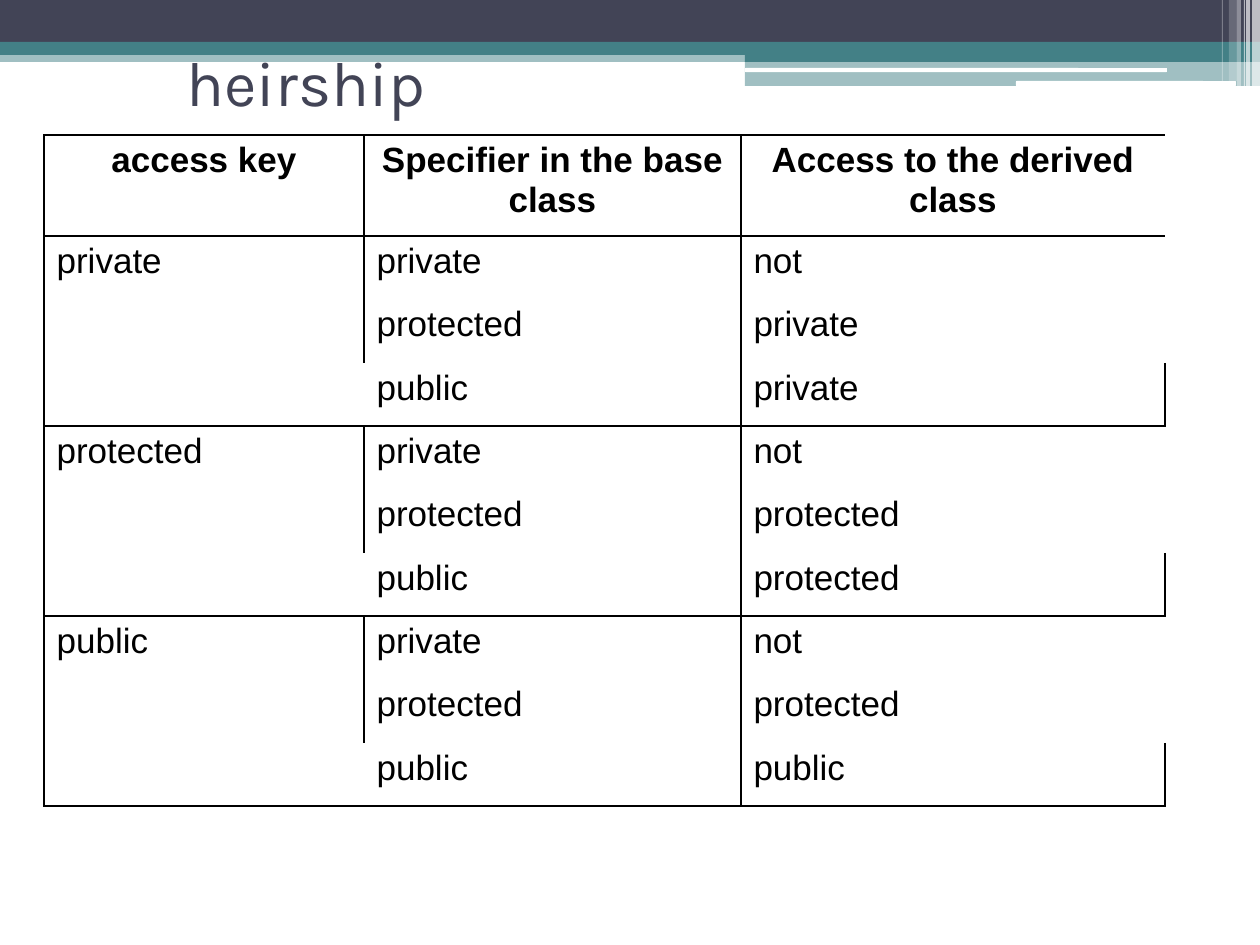
from lxml import etree
from pptx import Presentation
from pptx import util as u
from pptx.dml.color import RGBColor
from pptx.enum import shapes, text
from pptx.oxml.ns import qn

EMU_PER_PX = 914400 / 126
COLORS = {"navy": "424456", "teal": "438086", "white": "FFFFFF", "black": "000000"}
RECT, ROUND = shapes.MSO_SHAPE.RECTANGLE, shapes.MSO_SHAPE.ROUNDED_RECTANGLE

BANDS = [
    (RECT, (0, 50, 1260, 12), "teal", 50),
    (RECT, (0, 0, 1260, 42), "navy", 100),
    (RECT, (0, 42, 1260, 13), "teal", 100),
    (RECT, (745, 49, 515, 13), "teal", 100),
    (RECT, (745, 61, 515, 25), "teal", 50),
    (ROUND, (745, 68, 422, 4), "white", 100),
    (ROUND, (1016, 81, 220, 5), "white", 100),
]
STRIPES = [
    (1252, 8, 86, 65), (1246, 4, 86, 65), (1244, 1, 86, 60),
    (1237, 4, 86, 40), (1229, 8, 81, 20), (1222, 1, 81, 30),
]
HEADINGS = ["access key", "Specifier in the base class", "Access to the derived class"]
SPECIFIERS = ["private", "protected", "public"]
ACCESS = {
    "private": ["not", "private", "private"],
    "protected": ["not", "protected", "protected"],
    "public": ["not", "protected", "public"],
}
COL_WIDTHS = [320, 377, 424]
ROW_HEIGHTS = [101] + [63, 64, 63] * len(ACCESS)
HEADING_SIDES = ["LRTB", "LRTB", "LTB"]
GROUP_SIDES = [("LTB", "LRT", "LT"), ("L", "LR", "L"), ("LB", "RB", "LRB")]


def px(n):
    return u.Emu(round(n * EMU_PER_PX))


def rgb(name):
    return RGBColor.from_string(COLORS[name])


def set_attrs(obj, values):
    for name, value in values.items():
        setattr(obj, name, value)


def set_place(sp, box):
    set_attrs(sp, dict(zip(("left", "top", "width", "height"), map(px, box))))


def set_text(tf, words, align, color, **font):
    p = tf.paragraphs[0]
    p.alignment = align
    r = p.add_run()
    r.text = words
    set_attrs(r.font, font)
    r.font.color.rgb = rgb(color)


def add_band(slide, kind, box, color, opacity):
    sp = slide.shapes.add_shape(kind, *map(px, box))
    sp.shadow.inherit = False
    sp.fill.solid()
    sp.fill.fore_color.rgb = rgb(color)
    sp.line.fill.background()
    if opacity < 100:
        clr = sp.fill._xPr.find(".//" + qn("a:srgbClr"))
        etree.SubElement(clr, qn("a:alpha"), val=str(opacity * 1000))


def add_title(slide, words):
    sp = slide.shapes.title
    sp._element.getparent().append(sp._element)
    set_place(sp, (174, 37, 1125, 88))
    set_attrs(sp.text_frame, {
        "word_wrap": True,
        "auto_size": text.MSO_AUTO_SIZE.NONE,
        "vertical_anchor": text.MSO_ANCHOR.MIDDLE,
    })
    set_text(sp.text_frame, words, text.PP_ALIGN.LEFT, "navy", name="Karla", size=u.Pt(36))


def set_borders(cell, sides):
    tcPr = cell._tc.get_or_add_tcPr()
    for side in "LRTB":
        ln = etree.SubElement(tcPr, qn("a:ln" + side), w=str(u.Pt(1)))
        if side in sides:
            fill = etree.SubElement(ln, qn("a:solidFill"))
            etree.SubElement(fill, qn("a:srgbClr"), val=COLORS["black"])
        else:
            etree.SubElement(ln, qn("a:noFill"))
    cell.fill.background()


def fill_cell(cell, words, sides, align, bold=False):
    set_borders(cell, sides)
    if words:
        set_text(cell.text_frame, words, align, "black", name="Arial", size=u.Pt(20), bold=bold)


def add_access_table(slide):
    box = (44, 135, sum(COL_WIDTHS), sum(ROW_HEIGHTS))
    frame = slide.shapes.add_table(len(ROW_HEIGHTS), len(COL_WIDTHS), *map(px, box))
    table = frame.table
    set_attrs(table, {"first_row": False, "horz_banding": False})
    for col, width in zip(table.columns, COL_WIDTHS):
        col.width = px(width)
    for row, height in zip(table.rows, ROW_HEIGHTS):
        row.height = px(height)
    for c, (words, sides) in enumerate(zip(HEADINGS, HEADING_SIDES)):
        fill_cell(table.cell(0, c), words, sides, text.PP_ALIGN.CENTER, True)
    for g, (key, results) in enumerate(ACCESS.items()):
        first = 1 + g * len(SPECIFIERS)
        table.cell(first, 0).merge(table.cell(first + len(SPECIFIERS) - 1, 0))
        for i, (specifier, result) in enumerate(zip(SPECIFIERS, results)):
            values = ("" if i else key, specifier, result)
            for c, (words, sides) in enumerate(zip(values, GROUP_SIDES[i])):
                fill_cell(table.cell(first + i, c), words, sides, text.PP_ALIGN.JUSTIFY)


def main():
    prs = Presentation()
    set_attrs(prs, {"slide_width": px(1260), "slide_height": px(945)})
    slide = prs.slides.add_slide(prs.slide_layouts[5])
    for band in BANDS:
        add_band(slide, *band)
    for left, width, height, opacity in STRIPES:
        add_band(slide, RECT, (left, 0, width, height), "white", opacity)
    add_title(slide, "heirship")
    add_access_table(slide)
    prs.save("out.pptx")


if __name__ == "__main__":
    main()
